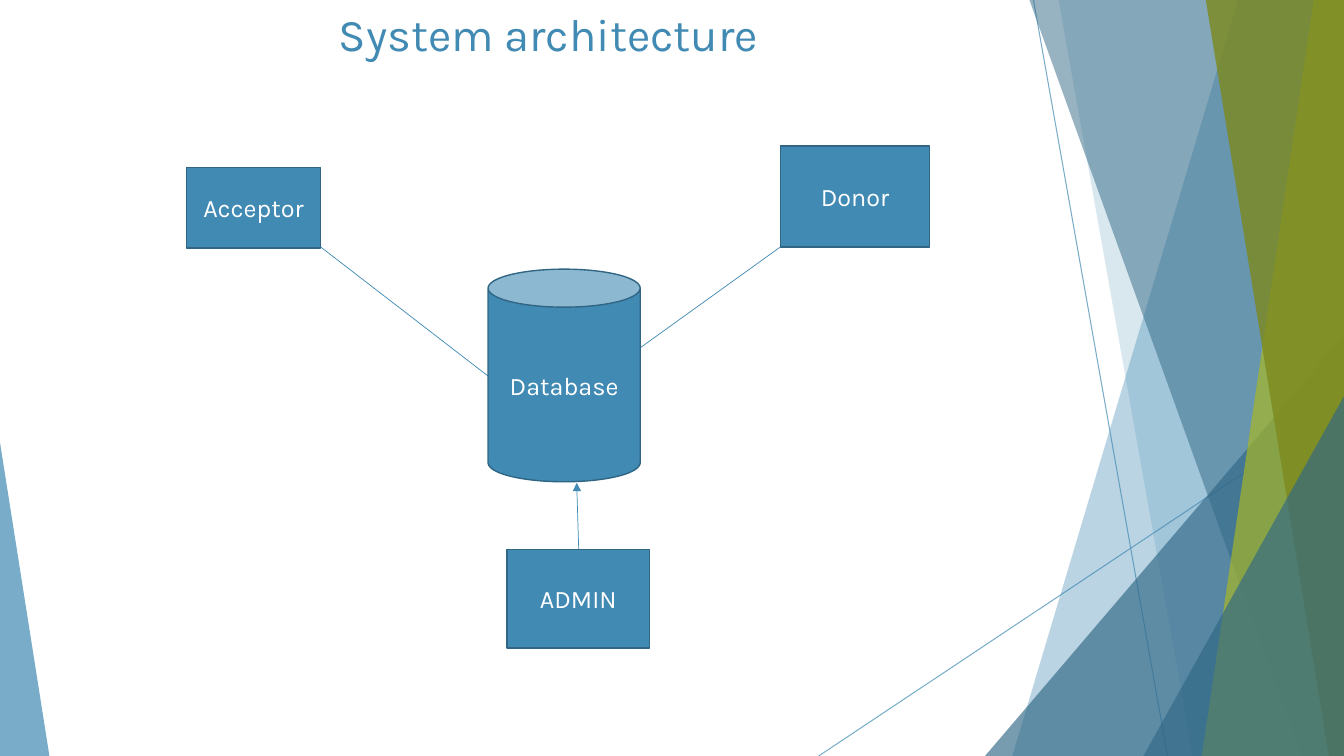
"""Build the system architecture slide: a database linked to its three users."""
from lxml.etree import SubElement
from pptx import Presentation
from pptx.dml.color import RGBColor
from pptx.enum.shapes import MSO_CONNECTOR, MSO_SHAPE
from pptx.enum.text import MSO_ANCHOR, MSO_AUTO_SIZE, PP_ALIGN
from pptx.oxml.ns import qn
from pptx.util import Inches, Pt

COLOURS = {"blue": "418AB3", "navy": "316886", "outline": "306684",
           "lime": "A6B727", "olive": "7D891D", "white": "FFFFFF"}


def write(frame, text, size=18, colour="white"):
    """Put centred text into a text frame."""
    frame.word_wrap = True
    frame.auto_size = MSO_AUTO_SIZE.NONE
    frame.vertical_anchor = MSO_ANCHOR.MIDDLE
    paragraph = frame.paragraphs[0]
    paragraph.alignment = PP_ALIGN.CENTER
    run = paragraph.add_run()
    run.text = text
    run.font.name = "Karla"
    run.font.size = Pt(size)
    run.font.color.rgb = RGBColor.from_string(COLOURS[colour])


def paint(fill, colour, opacity=100):
    """Fill with a colour at an opacity in percent."""
    fill.solid()
    fill.fore_color.rgb = RGBColor.from_string(COLOURS[colour])
    if opacity < 100:
        for tint in fill._xPr.iter(qn("a:srgbClr")):
            SubElement(tint, qn("a:alpha"), val=str(opacity * 1000))


deck = Presentation()
deck.slide_width, deck.slide_height = Inches(13.33), Inches(7.5)
slide = deck.slides.add_slide(deck.slide_layouts[5])
shapes = slide.shapes
right, bottom = 13.33, 7.5

links = [
    ((10.25, 0), (11.58, bottom), 0.75, 70, False),
    ((right, 4.03), (8.12, bottom), 0.75, 70, False),
    ((3.18, 2.45), (4.84, 3.73), 0.5, 100, False),
    ((7.74, 2.45), (6.35, 3.45), 0.5, 100, False),
    ((5.74, 5.45), (5.72, 4.79), 0.5, 100, True),
]
for start, end, width, opacity, has_arrow in links:
    link = shapes.add_connector(MSO_CONNECTOR.STRAIGHT, *map(Inches, start + end))
    link.line.width = Pt(width)
    paint(link.line.fill, "blue", opacity)
    if has_arrow:
        SubElement(link.line._get_or_add_ln(), qn("a:tailEnd"), type="triangle")
    SubElement(link._element.spPr, qn("a:effectLst"))

bands = [
    ("band", (12.28, 10.04), "blue", 36),
    ("band", (10.5, 11.83), "blue", 20),
    ("triangle", (9.77, 3.33, 3.56, 1), "navy", 66),
    ("band", (10.21, 12.91), "navy", 50),
    ("band", (13.03, 11.92), "lime", 70),
    ("band", (11.96, 13.18), "olive", 80),
    ("triangle", (11.34, 3.93, 1.99, 1), "navy", 66),
    ("triangle", (0, 4.39, 0.49, 0), "blue", 70),
]
for kind, measures, colour, opacity in bands:
    if kind == "band":
        top_x, bottom_x = measures
        outline = shapes.build_freeform(Inches(top_x), 0)
        corners = [(right, 0), (right, bottom), (bottom_x, bottom)]
        outline.add_line_segments([(Inches(x), Inches(y)) for x, y in corners])
        facet = outline.convert_to_shape()
    else:
        left, top, width, apex = measures
        facet = shapes.add_shape(MSO_SHAPE.ISOSCELES_TRIANGLE, Inches(left), Inches(top),
                                 Inches(width), Inches(bottom - top))
        facet.adjustments[0] = apex
    paint(facet.fill, colour, opacity)
    facet.line.fill.background()
    facet.shadow.inherit = False

title = shapes.title
title.left, title.top, title.width, title.height = map(Inches, (0.74, 0, 9.4, 0.66))
write(title.text_frame, "System architecture", size=32.4, colour="blue")

components = [
    ("Database", MSO_SHAPE.CAN, (4.84, 2.67, 1.51, 2.11)),
    ("Acceptor", MSO_SHAPE.RECTANGLE, (1.85, 1.66, 1.33, 0.8)),
    ("Donor", MSO_SHAPE.RECTANGLE, (7.74, 1.45, 1.48, 1)),
    ("ADMIN", MSO_SHAPE.RECTANGLE, (5.03, 5.45, 1.41, 0.98)),
]
for label, outline, place in components:
    component = shapes.add_shape(outline, *map(Inches, place))
    paint(component.fill, "blue")
    paint(component.line.fill, "outline")
    component.line.width = Pt(1)
    component.shadow.inherit = False
    write(component.text_frame, label)

deck.save("out.pptx")
